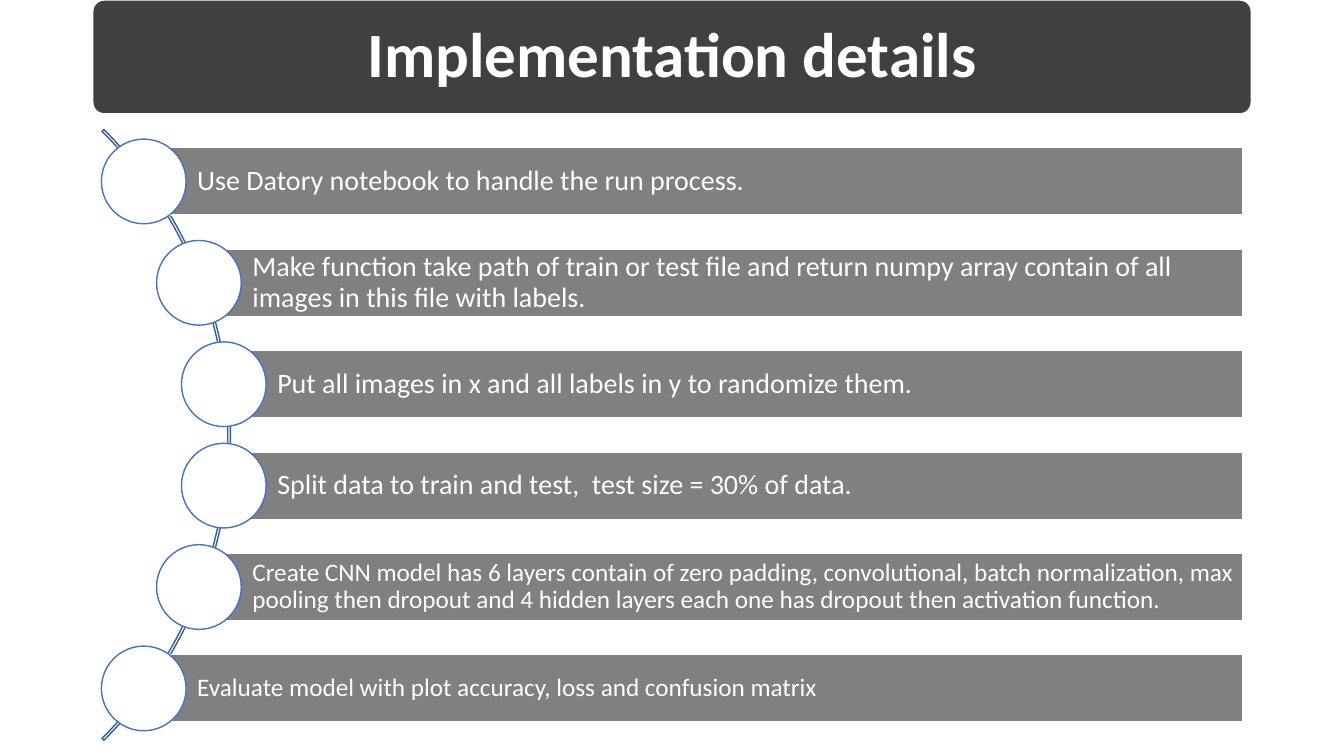
import math
from dataclasses import dataclass

from pptx import Presentation
from pptx import util as u
from pptx.dml import color
from pptx.enum import shapes, text


@dataclass(frozen=True)
class Theme:
    """Colours, font and type sizes of the slide."""
    font: str = "Calibri"
    white: str = "FFFFFF"
    title_fill: str = "404040"
    bar_fill: str = "808080"
    ring: str = "4472C4"
    arc: str = "365B9D"
    title_size: int = 45
    large: int = 20
    small: int = 18


@dataclass(frozen=True)
class Box:
    """A rectangle in inches."""
    left: float
    top: float
    width: float
    height: float


THEME = Theme()
STEPS = [
    ("Use Datory notebook to handle the run process.", THEME.large),
    ("Make function take path of train or test file and return numpy array "
     "contain of all images in this file with labels.", THEME.large),
    ("Put all images in x and all labels in y to randomize them.", THEME.large),
    ("Split data to train and test,  test size = 30% of data.", THEME.large),
    ("Create CNN model has 6 layers contain of zero padding, convolutional, "
     "batch normalization, max pooling then dropout and 4 hidden layers each "
     "one has dropout then activation function.", THEME.small),
    ("Evaluate model with plot accuracy, loss and confusion matrix", THEME.small),
]


def add_figure(page, kind, box, line, fill=None, adjustments=()):
    """Add a preset shape with a one-point outline."""
    figure = page.shapes.add_shape(
        kind, *map(u.Inches, (box.left, box.top, box.width, box.height)))
    figure.shadow.inherit = False
    for index, value in enumerate(adjustments):
        figure.adjustments[index] = value
    if fill:
        figure.fill.solid()
        figure.fill.fore_color.rgb = color.RGBColor.from_string(fill)
    else:
        figure.fill.background()
    figure.line.color.rgb = color.RGBColor.from_string(line)
    figure.line.width = u.Pt(1)
    return figure


def write_text(figure, words, *, size, left, inset, bold=False,
               align=text.PP_ALIGN.LEFT):
    """Write one formatted paragraph in a shape."""
    frame = figure.text_frame
    frame.word_wrap = True
    frame.vertical_anchor = text.MSO_ANCHOR.MIDDLE
    frame.margin_left = u.Inches(left)
    frame.margin_top = frame.margin_right = frame.margin_bottom = u.Inches(inset)
    para = frame.paragraphs[0]
    para.alignment = align
    para.line_spacing = 0.9
    span = para.add_run()
    span.text = words
    span.font.name = THEME.font
    span.font.size = u.Pt(size)
    span.font.bold = bold
    span.font.color.rgb = color.RGBColor.from_string(THEME.white)


def add_title(page, box, words):
    """Draw the rounded title banner."""
    banner = add_figure(page, shapes.MSO_SHAPE.ROUNDED_RECTANGLE, box,
                        THEME.white, THEME.title_fill, [0.1])
    write_text(banner, words, size=THEME.title_size, left=0.22, inset=0.22,
               bold=True, align=text.PP_ALIGN.CENTER)


def add_steps(page, box, steps):
    """Draw the step bars with their circles placed along an arc."""
    circle, bar_height, arc_size, orbit = 0.84, 0.67, 8.57, 4.25
    arc_x = box.left - 3.01
    middle = box.top + box.height / 2
    pitch = (box.height - circle) / (len(steps) - 1)
    arc_box = Box(arc_x - arc_size / 2, middle - arc_size / 2, arc_size, arc_size)
    add_figure(page, shapes.MSO_SHAPE.BLOCK_ARC, arc_box, THEME.arc,
               adjustments=[189, 27, 0.003])
    for index, (words, size) in enumerate(steps):
        y = box.top + circle / 2 + index * pitch
        x = arc_x + math.sqrt(orbit ** 2 - (y - middle) ** 2)
        bar_box = Box(x, y - bar_height / 2, box.left + box.width - x, bar_height)
        bar = add_figure(page, shapes.MSO_SHAPE.RECTANGLE, bar_box,
                         THEME.white, THEME.bar_fill)
        write_text(bar, words, size=size, left=0.53,
                   inset=0.06 if size == THEME.large else 0.05)
        circle_box = Box(x - circle / 2, y - circle / 2, circle, circle)
        add_figure(page, shapes.MSO_SHAPE.OVAL, circle_box, THEME.ring, THEME.white)


def main():
    """Build and save the deck."""
    deck = Presentation()
    deck.slide_width, deck.slide_height = u.Inches(13.33), u.Inches(7.5)
    page = deck.slides.add_slide(deck.slide_layouts[6])
    add_title(page, Box(0.92, 0, 11.49, 1.13), "Implementation details")
    add_steps(page, Box(1.01, 1.38, 11.32, 5.87), STEPS)
    deck.save("out.pptx")


if __name__ == "__main__":
    main()
